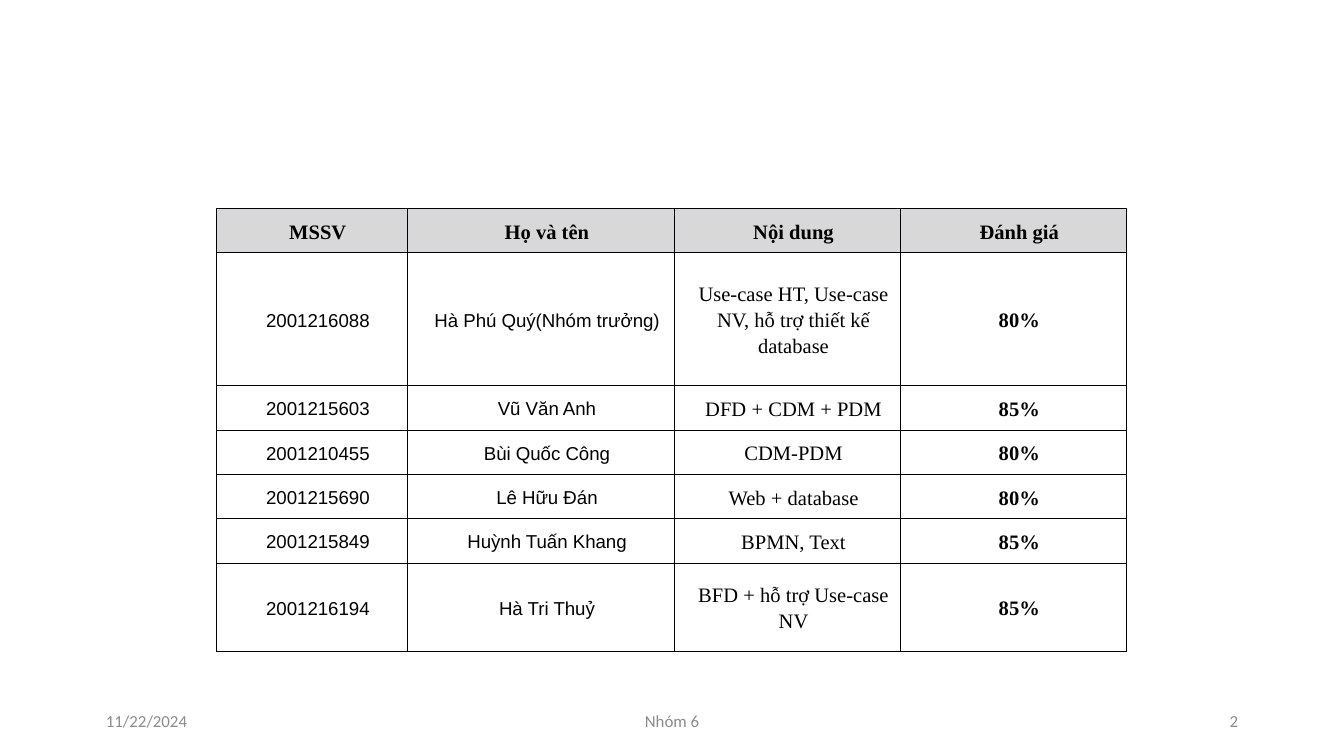
import dataclasses
import lxml.etree
import pptx
import pptx.dml.color
import pptx.enum.text
import pptx.oxml.ns
import pptx.util

Inches = pptx.util.Inches
Pt = pptx.util.Pt
ALIGN = pptx.enum.text.PP_ALIGN
MIDDLE = pptx.enum.text.MSO_ANCHOR.MIDDLE


@dataclasses.dataclass(frozen=True)
class Theme:
    ink: str = "000000"
    line: str = "000008"
    head: str = "D8D8D8"
    muted: str = "8C8C8C"
    serif: str = "Times New Roman"
    sans: str = "Arial"
    foot: str = "Calibri"
    large: int = 11
    small: int = 10
    tiny: int = 9
    rule: float = 0.5


THEME = Theme()
COLS = [1.42, 1.99, 1.68, 1.68]
ROWS = [0.33, 0.99, 0.33, 0.33, 0.33, 0.33, 0.66]
DATA = [
    ("MSSV", "Họ và tên", "Nội dung", "Đánh giá"),
    ("2001216088", "Hà Phú Quý(Nhóm trưởng)",
     "Use-case HT, Use-case NV, hỗ trợ thiết kế database", "80%"),
    ("2001215603", "Vũ Văn Anh", "DFD + CDM + PDM", "85%"),
    ("2001210455", "Bùi Quốc Công", "CDM-PDM", "80%"),
    ("2001215690", "Lê Hữu Đán", "Web + database", "80%"),
    ("2001215849", "Huỳnh Tuấn Khang", "BPMN, Text", "85%"),
    ("2001216194", "Hà Tri Thuỷ", "BFD + hỗ trợ Use-case NV", "85%"),
]


def color(code):
    return pptx.dml.color.RGBColor.from_string(code)


def add_run(para, text, font, size, ink, bold=False):
    run = para.add_run()
    run.text = text
    run.font.name = font
    run.font.size = Pt(size)
    run.font.bold = bold
    run.font.color.rgb = color(ink)


def add_rules(cell):
    qn = pptx.oxml.ns.qn
    props = cell._tc.get_or_add_tcPr()
    for side in ("a:lnL", "a:lnR", "a:lnT", "a:lnB"):
        line = lxml.etree.SubElement(props, qn(side), w=str(Pt(THEME.rule)))
        fill = lxml.etree.SubElement(line, qn("a:solidFill"))
        lxml.etree.SubElement(fill, qn("a:srgbClr"), val=THEME.line)


def fill_cell(cell, text, head, col):
    cell.margin_left = cell.margin_right = Inches(0.07)
    cell.margin_top = cell.margin_bottom = 0
    cell.vertical_anchor = MIDDLE
    add_rules(cell)
    if head:
        cell.fill.solid()
        cell.fill.fore_color.rgb = color(THEME.head)
    else:
        cell.fill.background()
    para = cell.text_frame.paragraphs[0]
    para.alignment = ALIGN.CENTER
    para.line_spacing = 1.14
    props = para._p.get_or_add_pPr()
    props.set("marL", str(Inches(0.09)))
    props.set("indent", "0")
    plain = not head and col < 2
    add_run(para, text, THEME.sans if plain else THEME.serif,
            THEME.small if plain else THEME.large, THEME.ink,
            head or col == 3)


def add_grid(slide, left, top, width, height):
    frame = slide.shapes.add_table(
        len(ROWS), len(COLS), Inches(left), Inches(top),
        Inches(width), Inches(height))
    table = frame.table
    table.first_row = table.horz_banding = False
    for col, size in zip(table.columns, COLS):
        col.width = Inches(size)
    for row, size in zip(table.rows, ROWS):
        row.height = Inches(size)
    for i, texts in enumerate(DATA):
        for j, text in enumerate(texts):
            fill_cell(table.cell(i, j), text, i == 0, j)


def add_foot(slide, left, top, width, height):
    side, mid = 2.25, 3.38
    parts = [
        ("11/22/2024", 0, side, ALIGN.LEFT),
        ("Nhóm 6", (width - mid) / 2, mid, ALIGN.CENTER),
        ("2", width - side, side, ALIGN.RIGHT),
    ]
    for text, shift, span, align in parts:
        box = slide.shapes.add_textbox(
            Inches(left + shift), Inches(top), Inches(span), Inches(height))
        frame = box.text_frame
        frame.word_wrap = True
        frame.vertical_anchor = MIDDLE
        para = frame.paragraphs[0]
        para.alignment = align
        add_run(para, text, THEME.foot, THEME.tiny, THEME.muted)


def main():
    deck = pptx.Presentation()
    deck.slide_width = Inches(10)
    deck.slide_height = deck.slide_width * 9 // 16
    slide = deck.slides.add_slide(deck.slide_layouts[6])
    add_grid(slide, 1.61, 1.55, sum(COLS), sum(ROWS))
    add_foot(slide, 0.69, 5.21, 8.62, 0.3)
    deck.save("out.pptx")


if __name__ == "__main__":
    main()
